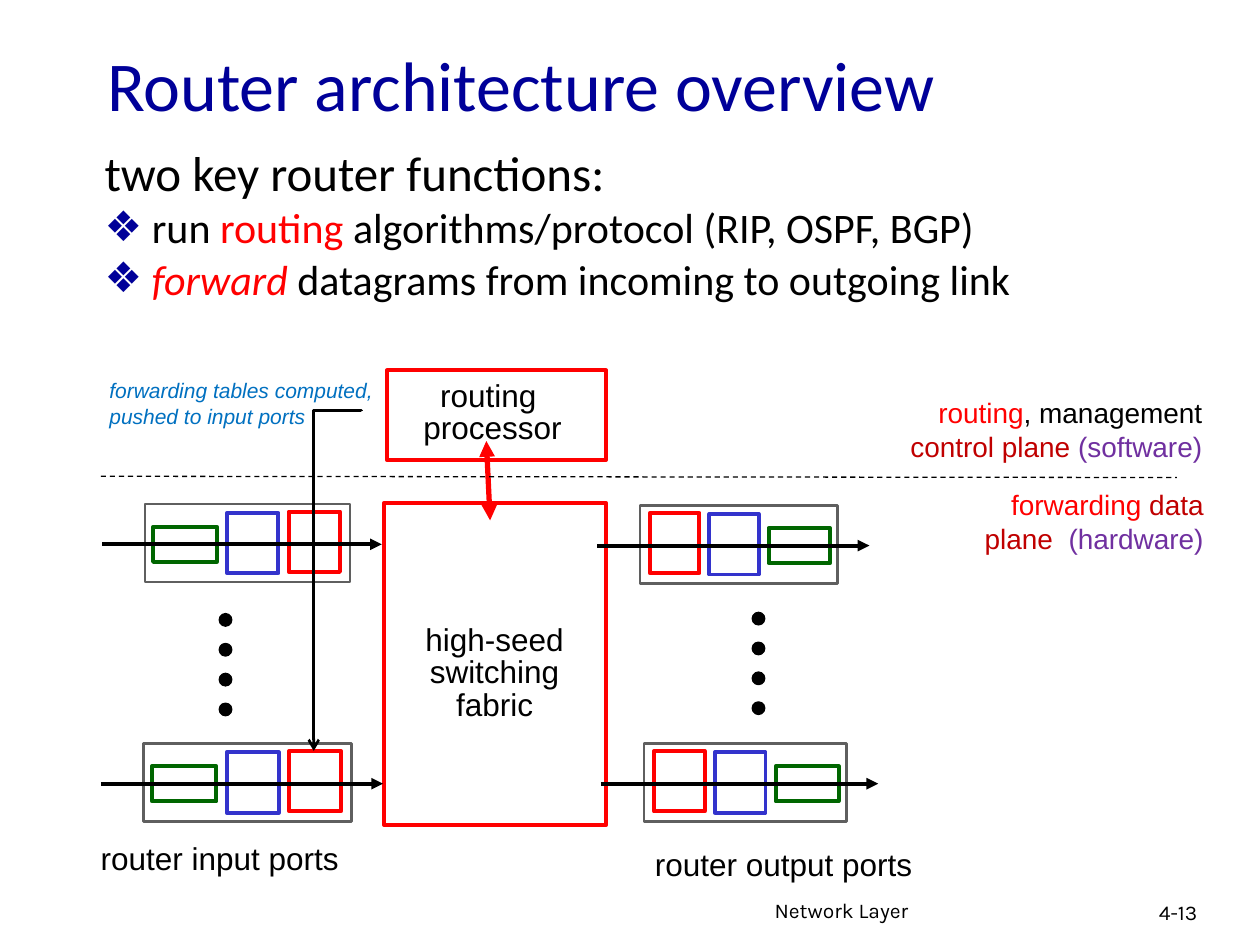
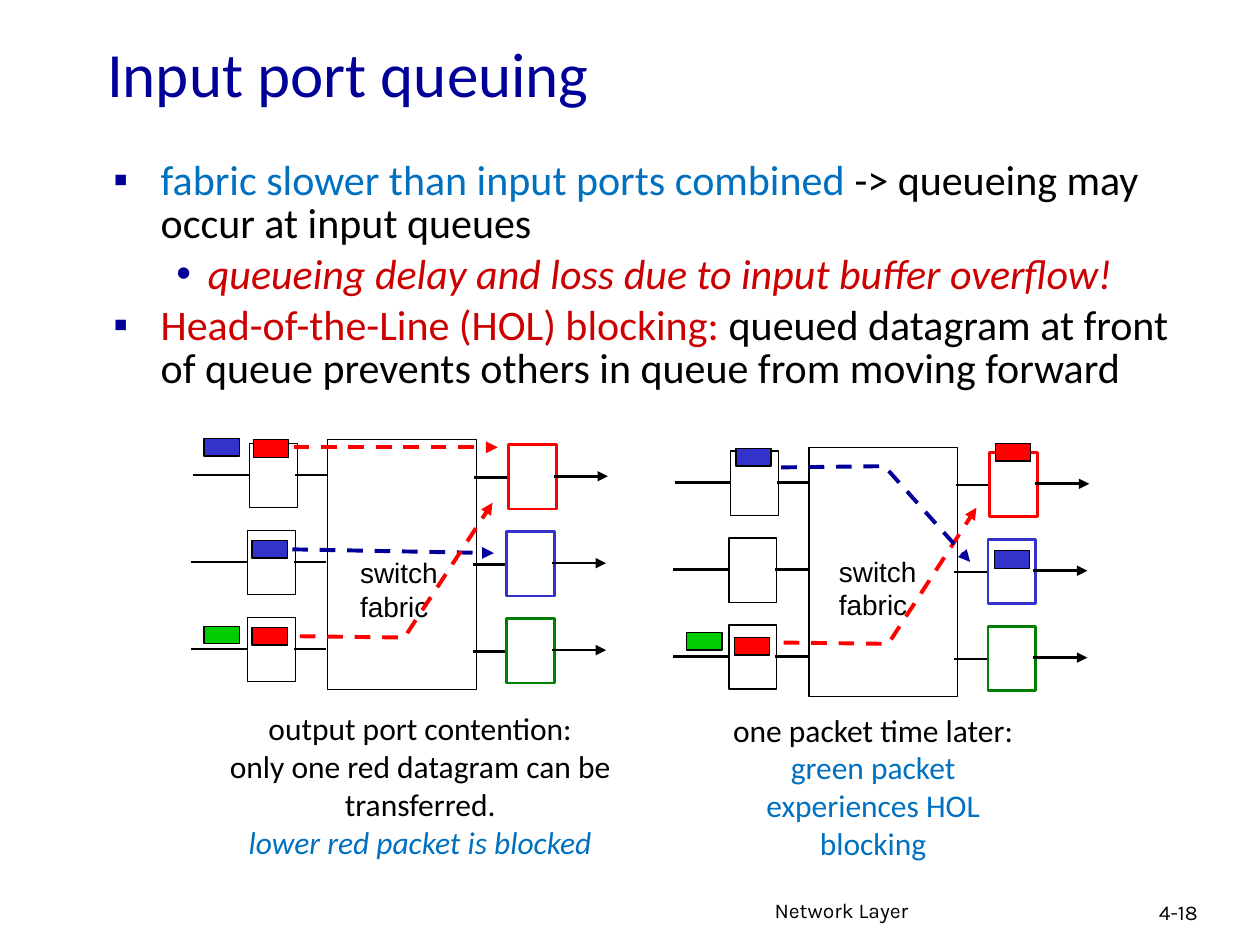
import dataclasses
import pptx
import pptx.dml.color
import pptx.enum.dml
import pptx.enum.shapes
import pptx.enum.text
import pptx.oxml
import pptx.oxml.ns
import pptx.util

ALIGN = pptx.enum.text.PP_ALIGN
SHAPE = pptx.enum.shapes.MSO_SHAPE
LINK = pptx.enum.shapes.MSO_CONNECTOR
COLUMNS, ROWS = 100, 75


@dataclasses.dataclass(frozen=True)
class Theme:
    heading: str = "Calibri"
    label: str = "Arial"
    footer: str = "Karla"
    white: str = "FFFFFF"
    ink: str = "000000"
    navy: str = "000099"
    red: str = "FF0000"
    crimson: str = "CC0000"
    brick: str = "C00000"
    purple: str = "7030A0"
    sky: str = "0070C0"
    blue: str = "3333CC"
    forest: str = "006600"
    green: str = "008000"
    lime: str = "00CC00"
    grey: str = "5F5F5F"
    title: int = 40
    subtitle: int = 36
    lead: int = 28
    body: int = 24
    caption: int = 18
    plane: int = 16
    small: int = 12
    tight: float = 0.85


THEME = Theme()


def append_xml(parent, tag, **attributes):
    child = pptx.oxml.parse_xml(f"<a:{tag} {pptx.oxml.ns.nsdecls('a')}/>")
    for key, value in attributes.items():
        child.set(key, value)
    parent.append(child)
    return child


def rgb(colour):
    return pptx.dml.color.RGBColor.from_string(colour)


class Deck:
    def __init__(self, theme):
        self.theme = theme
        self.show = pptx.Presentation()
        self.show.slide_width = pptx.util.Inches(10)
        self.show.slide_height = pptx.util.Inches(7.5)
        self.slide = None

    def x(self, columns):
        return round(self.show.slide_width * columns / COLUMNS)

    def y(self, rows):
        return round(self.show.slide_height * rows / ROWS)

    def box(self, left, top, width, height):
        return self.x(left), self.y(top), self.x(width), self.y(height)

    def start(self, heading, size, frame, number):
        self.slide = self.show.slides.add_slide(self.show.slide_layouts[1])
        title = self.slide.shapes.title
        self.place(title, frame)
        self.typeset(title.text_frame, [[(heading, self.theme.navy)]], self.theme.heading, size, ALIGN.LEFT)
        title.text_frame.vertical_anchor = pptx.enum.text.MSO_ANCHOR.MIDDLE
        for words, area in (("Network Layer", (60.5, 70.7, 31.7, 3.1)), (number, (91, 70.9, 7.4, 3))):
            self.text(area, [[(words,)]], self.theme.footer, self.theme.small, wrap=True)

    def place(self, holder, frame):
        holder.left, holder.top, holder.width, holder.height = self.box(*frame)
        holder.text_frame.auto_size = pptx.enum.text.MSO_AUTO_SIZE.NONE

    def typeset(self, frame, paragraphs, font, size, align=None, spacing=None):
        for index, runs in enumerate(paragraphs):
            paragraph = frame.add_paragraph() if index else frame.paragraphs[0]
            paragraph.alignment = align
            paragraph.line_spacing = spacing
            for words, *look in runs:
                if words == "\n":
                    paragraph.add_line_break()
                    continue
                run = paragraph.add_run()
                run.text = words
                run.font.name = font
                run.font.size = pptx.util.Pt(size)
                run.font.color.rgb = rgb(look[0] if look else self.theme.ink)
                run.font.italic = len(look) > 1

    def bullets(self, frame, items):
        body = self.slide.placeholders[1]
        self.place(body, frame)
        self.typeset(body.text_frame, [runs for _, runs in items],
                     self.theme.heading, self.theme.body, ALIGN.LEFT, self.theme.tight)
        for paragraph, (mark, _) in zip(body.text_frame.paragraphs, items):
            nested = mark == "•"
            paragraph.level = int(nested)
            properties = paragraph._p.get_or_add_pPr()
            properties.set("marL", str(self.x(7.5 if nested else 3.75)))
            properties.set("indent", str(-self.x(2.5 if nested else 3.75)))
            if mark:
                append_xml(append_xml(properties, "buClr"), "srgbClr", val=self.theme.navy)
                append_xml(properties, "buChar", char=mark)
            else:
                append_xml(properties, "buNone")
        return body.text_frame.paragraphs

    def text(self, area, paragraphs, font, size, align=ALIGN.LEFT, spacing=None, wrap=False):
        frame = self.slide.shapes.add_textbox(*self.box(*area)).text_frame
        frame.word_wrap = wrap
        frame.auto_size = pptx.enum.text.MSO_AUTO_SIZE.SHAPE_TO_FIT_TEXT
        self.typeset(frame, paragraphs, font, size, align, spacing)

    def label(self, area, lines, size, align=ALIGN.LEFT, spacing=None):
        self.text(area, [[(line,)] for line in lines], self.theme.label, size, align, spacing)

    def stroke(self, item, colour, weight, dashed=False, head=False, tail=None):
        item.line.color.rgb = rgb(colour)
        item.line.width = pptx.util.Pt(weight)
        if dashed:
            item.line.dash_style = pptx.enum.dml.MSO_LINE.DASH
        outline = item.line._get_or_add_ln()
        if head:
            append_xml(outline, "headEnd", type="triangle")
        if tail:
            append_xml(outline, "tailEnd", type=tail)

    def block(self, area, colour, weight=0.75, fill=None, kind=SHAPE.RECTANGLE):
        block = self.slide.shapes.add_shape(kind, *self.box(*area))
        block.shadow.inherit = False
        block.fill.solid()
        block.fill.fore_color.rgb = rgb(fill or self.theme.white)
        self.stroke(block, colour, weight)

    def line(self, begin, end, colour=None, weight=1.5, kind=LINK.STRAIGHT, **look):
        line = self.slide.shapes.add_connector(
            kind, self.x(begin[0]), self.y(begin[1]), self.x(end[0]), self.y(end[1]))
        self.stroke(line, colour or self.theme.ink, weight, **look)
        append_xml(line.element.spPr, "effectLst")
        return line

    def elbow(self, left, top, width, height):
        elbow = self.line((left, top), (left + width, top + height), kind=LINK.ELBOW, tail="arrow")
        geometry = elbow.element.spPr
        geometry.find(pptx.oxml.ns.qn("a:xfrm")).set("rot", "5400000")
        adjustments = geometry.find(".//" + pptx.oxml.ns.qn("a:avLst"))
        append_xml(adjustments, "gd", name="adj1", fmla="val -100")

    def route(self, points, colour):
        start, *rest = [(self.x(column), self.y(row)) for column, row in points]
        builder = self.slide.shapes.build_freeform(*start)
        builder.add_line_segments(rest, close=False)
        route = builder.convert_to_shape()
        route.shadow.inherit = False
        route.fill.background()
        self.stroke(route, colour, 2.25, dashed=True, tail="triangle")


def draw_port(deck, left, top, width, output=False):
    deck.block((left, top, width, 6.2), THEME.grey, 1.5)
    stages = ((0.04, 0.31, 1.8, 2.8, THEME.forest),
              (0.4, 0.25, 0.7, 4.8, THEME.blue),
              (0.7, 0.25, 0.6, 4.8, THEME.red))
    for offset, share, drop, height, colour in stages:
        offset = 1 - offset - share if output else offset
        deck.block((left + offset * width, top + drop, share * width, height), colour, 2.25)
    deck.line((left - 3.4, top + 3.2), (left + width + 2.5, top + 3.2), weight=2.25, tail="triangle")


def draw_architecture(deck):
    deck.start("Router architecture overview", THEME.title, (7.5, 3.3, 85, 6.7), "4-13")
    functions = deck.bullets((7.3, 11.5, 88.9, 10), [
        ("", [("two key router functions: ",)]),
        ("❖", [("run ",), ("routing", THEME.red), (" algorithms/protocol (RIP, OSPF, BGP)",)]),
        ("❖", [("forward ", THEME.red, "italic"), ("datagrams from incoming to outgoing link",)]),
    ])
    functions[0].runs[0].font.size = pptx.util.Pt(THEME.lead)

    deck.block((30.5, 39.9, 17.6, 25.6), THEME.red, 2.25)
    deck.label((32.5, 49.2, 13.5, 8.8), ["high-seed ", "switching", "fabric"],
               THEME.caption, ALIGN.CENTER, THEME.tight)
    deck.block((30.7, 29.4, 17.4, 7.1), THEME.red, 2.25)
    deck.label((32.6, 29.8, 13, 6.1), ["routing ", "processor"],
               THEME.caption, ALIGN.CENTER, THEME.tight)
    deck.line((38.6, 35), (38.9, 41.3), THEME.red, 3, head=True, tail="triangle")

    for left, top, width, output in ((11.5, 40, 16.3, False), (11.4, 59, 16.5, False),
                                     (50.8, 40.1, 15.7, True), (51.1, 59, 16.1, True)):
        draw_port(deck, left, top, width, output)
    for left, top in ((17.4, 48.7), (59.7, 48.6)):
        for step in range(4):
            deck.block((left, top + 2.37 * step, 1, 1), THEME.ink, fill=THEME.ink, kind=SHAPE.OVAL)
    deck.label((7, 66.1, 20.9, 4), ["router input ports"], THEME.caption)
    deck.label((51, 66.6, 22.4, 4), ["router output ports"], THEME.caption)

    deck.line((8, 37.8), (93.4, 37.9), weight=0.75, dashed=True)
    hardware = [[("forwarding ", THEME.red), ("data plane  ", THEME.brick), ("(hardware)", THEME.purple)]]
    software = [[("routing", THEME.red), (", management",)],
                [("control plane ", THEME.brick), ("(software)", THEME.purple)]]
    for area, plane in (((75.3, 38.2, 21.2, 6.4), hardware), ((69.6, 30.9, 26.8, 6.4), software)):
        deck.text(area, plane, THEME.label, THEME.plane, ALIGN.RIGHT, wrap=True)
    deck.elbow(13.3, 44.2, 27, 3.8)
    deck.text((7.7, 29.5, 23.6, 5), [[("forwarding tables computed,", THEME.sky, "italic")],
                                    [("pushed to input ports", THEME.sky, "italic")]],
              THEME.label, THEME.small)


def draw_switch(deck, left, top, fabric_label, packets):
    deck.block((left, top, 11.8, 19.8), THEME.ink)
    for lane, colour in enumerate((THEME.red, THEME.blue, THEME.green)):
        lane_left = left + (0 if lane else 0.15)
        lane_top = top + 6.9 * lane
        deck.block((lane_left - 6.35, lane_top + 0.3, 3.8, 5.1), THEME.ink)
        deck.block((lane_left + 14.2, lane_top + 0.4, 3.8, 5.1), colour, 1.5)
        for begin, end, drop, tail in ((11.5, 14.1, 3, None), (-2.7, -0.1, 2.8, None),
                                       (-10.8, -6.4, 2.8, None), (17.8, 22.1, 2.9, "triangle")):
            deck.line((lane_left + begin, lane_top + drop), (lane_left + end, lane_top + drop), tail=tail)
    for column, row, colour in packets:
        deck.block((column, row, 2.8, 1.4), THEME.ink, fill=colour)
    deck.label((*fabric_label, 8.2, 6.4), ["switch", "fabric"], THEME.plane)


def draw_queuing(deck):
    deck.start("Input port queuing", THEME.subtitle, (7.5, 3.2, 85, 5), "4-18")
    deck.bullets((8, 12.3, 88.6, 29), [
        ("▪", [("fabric slower than input ports combined ", THEME.sky),
               ("-> queueing may occur at input queues",)]),
        ("•", [("queueing delay and loss due to input buffer overflow!", THEME.crimson, "italic")]),
        ("▪", [("Head-of-the-Line (HOL) blocking:", THEME.crimson),
               (" queued datagram at front of queue prevents others in queue from moving forward",)]),
    ])

    draw_switch(deck, 26, 34.9, (27.6, 43.6), [
        (20.1, 34.9, THEME.red), (20, 42.9, THEME.blue), (20, 49.8, THEME.red),
        (16.2, 34.8, THEME.blue), (16.2, 49.7, THEME.lime)])
    deck.line((23.3, 35.5), (39.5, 35.5), THEME.red, 2.25, dashed=True, tail="triangle")
    deck.line((23.2, 43.6), (39.2, 43.9), THEME.navy, 2.25, dashed=True, tail="triangle")
    deck.route([(23.8, 50.5), (32.1, 50.6), (39.1, 39.9)], THEME.red)

    draw_switch(deck, 64.2, 35.5, (65.6, 43.5), [
        (79, 35.2, THEME.red), (58.4, 35.6, THEME.blue), (58.3, 50.6, THEME.red),
        (54.5, 50.2, THEME.lime), (78.9, 43.7, THEME.blue)])
    deck.route([(62.2, 51), (70.5, 51.1), (77.5, 40.3)], THEME.red)
    deck.route([(62, 37.1), (70.2, 37), (77, 44.6)], THEME.navy)

    contention = [[("output port contention:",)],
                  [("only one red datagram can be transferred.",), ("\n",),
                   ("lower red packet is blocked", THEME.sky, "italic")]]
    later = [[("one packet time later: ",), ("green packet experiences HOL blocking", THEME.sky)]]
    for area, caption in (((14.8, 55.8, 37.1, 13), contention), ((57.1, 55.9, 24.4, 13), later)):
        deck.text(area, caption, THEME.heading, THEME.caption, ALIGN.CENTER, wrap=True)


def main():
    deck = Deck(THEME)
    draw_architecture(deck)
    draw_queuing(deck)
    deck.show.save("out.pptx")


if __name__ == "__main__":
    main()
